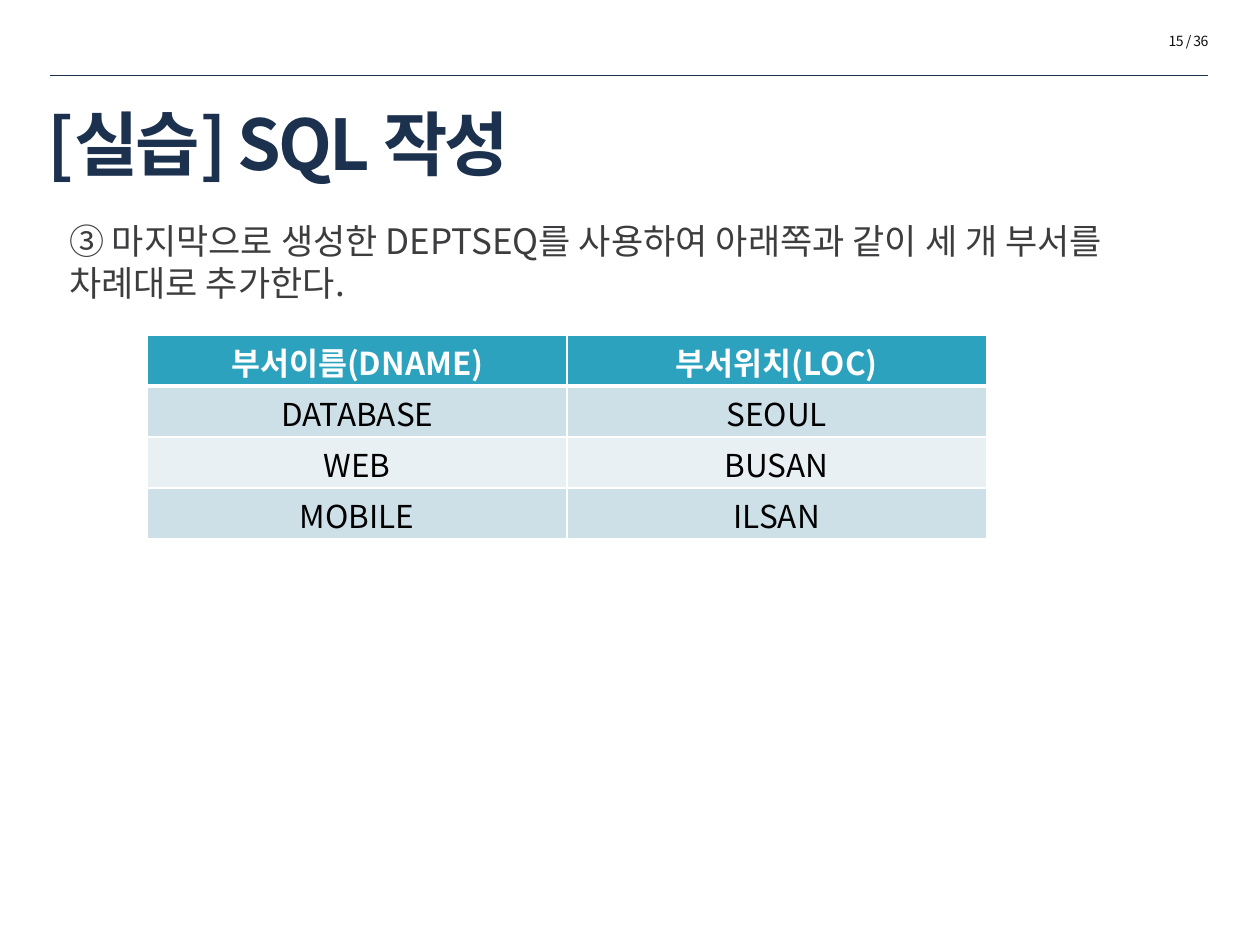
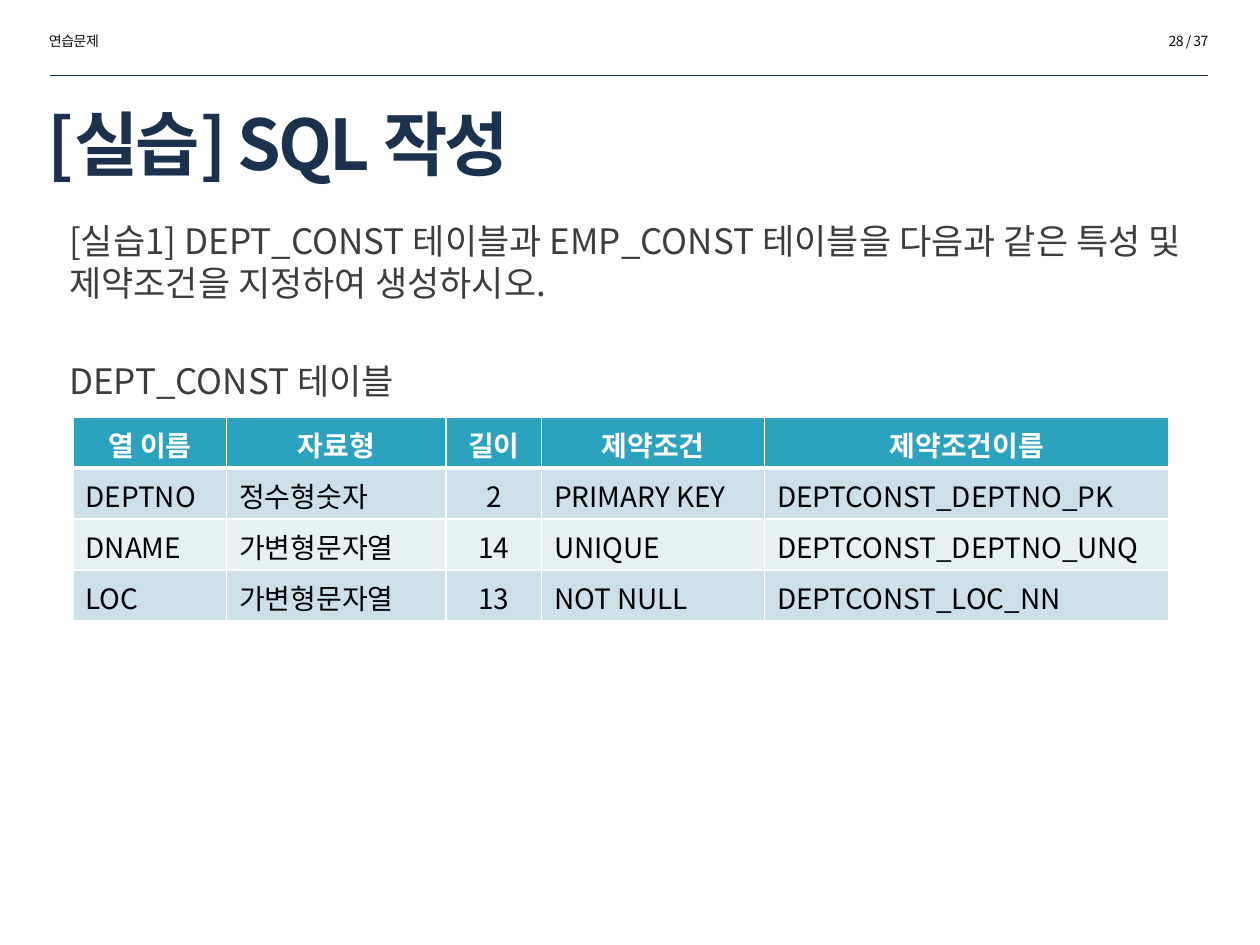
import pptx
import pptx.util
import pptx.dml.color
import pptx.enum.shapes
import pptx.enum.text
import pptx.oxml.ns
import lxml.etree

Inches = pptx.util.Inches
Pt = pptx.util.Pt
RGBColor = pptx.dml.color.RGBColor
ALIGN = pptx.enum.text.PP_ALIGN
MIDDLE = pptx.enum.text.MSO_ANCHOR.MIDDLE
qn = pptx.oxml.ns.qn

# Shared look
FONT = "Noto Sans CJK KR"
NAVY = RGBColor(0x1C, 0x31, 0x4E)
INK = RGBColor(0x0D, 0x0D, 0x0D)
GRAY = RGBColor(0x3D, 0x3C, 0x3E)
BLACK = RGBColor(0, 0, 0)
WHITE = RGBColor(0xFF, 0xFF, 0xFF)
TEAL = RGBColor(0x2D, 0xA2, 0xBF)
BANDS = [RGBColor(0xE8, 0xF0, 0xF4), RGBColor(0xCD, 0xE0, 0xE8)]
LEADING = 1.2
ROW_HEIGHT = 1.62 / 4


def style(par, size, color, bold=False, align=ALIGN.LEFT, track=0):
    """Format one paragraph, for Latin and Korean letters alike."""
    par.alignment = align
    par.line_spacing = Pt(size * LEADING)
    font = par.font
    font.size, font.bold, font.name = Pt(size), bold, FONT
    font.color.rgb = color
    props = par._p.get_or_add_pPr().find(qn("a:defRPr"))
    lxml.etree.SubElement(props, qn("a:ea")).set("typeface", FONT)
    if track:
        props.set("spc", str(round(track * 100)))


def place(shape, left, top, width, height):
    shape.left, shape.top = Inches(left), Inches(top)
    shape.width, shape.height = Inches(width), Inches(height)


def add_text(slide, box, lines, size, color, gap=0, **look):
    frame = slide.shapes.add_textbox(*map(Inches, box)).text_frame
    frame.word_wrap = True
    for i, line in enumerate(lines):
        par = frame.paragraphs[0] if i == 0 else frame.add_paragraph()
        par.text = line
        style(par, size, color, **look)
        if i:
            par.space_before = Pt(gap)


def add_label(slide, left, text, align):
    add_text(slide, (left, 0.21, 1.73, 0.24), [text], 8, INK,
             align=align, track=-0.3)


def add_body(slide, height, lines):
    add_text(slide, (0.45, 1.69, 9.26, height), lines, 20, GRAY, gap=32)


def add_rule(slide):
    rule = slide.shapes.add_connector(
        pptx.enum.shapes.MSO_CONNECTOR.STRAIGHT,
        Inches(0.4), Inches(0.6), Inches(9.59), Inches(0.6))
    rule.line.color.rgb = NAVY
    rule.line.width = Pt(0.25)
    lxml.etree.SubElement(rule._element.spPr, qn("a:effectLst"))


def add_title(slide, text):
    title = slide.shapes.title
    place(title, 0.28, 0.77, 7.65, 0.64)
    frame = title.text_frame
    frame.text = text
    frame.vertical_anchor = MIDDLE
    frame.margin_top, frame.margin_bottom = Inches(0.08), 0
    style(frame.paragraphs[0], 40, NAVY, bold=True, track=-1.5)


def add_page(deck, title, number):
    """Start a slide with the header that all slides share."""
    slide = deck.slides.add_slide(deck.slide_layouts[5])
    add_rule(slide)
    add_title(slide, title)
    add_label(slide, 7.96, number, ALIGN.RIGHT)
    return slide


def set_edges(cell, row):
    """White cell borders, thicker under the header row."""
    props = cell._tc.get_or_add_tcPr()
    widths = {"L": 1, "R": 1, "T": 3 if row == 1 else 1,
              "B": 3 if row == 0 else 1}
    for side, width in widths.items():
        edge = lxml.etree.SubElement(props, qn("a:ln" + side))
        edge.set("w", str(Pt(width)))
        fill = lxml.etree.SubElement(edge, qn("a:solidFill"))
        lxml.etree.SubElement(fill, qn("a:srgbClr")).set("val", str(WHITE))


def add_grid(slide, left, top, widths, rows, size, mid):
    """Banded table; columns listed in mid have centred values."""
    grid = slide.shapes.add_table(
        len(rows), len(widths), Inches(left), Inches(top),
        Inches(sum(widths)), Inches(ROW_HEIGHT * len(rows))).table
    for col, width in zip(grid.columns, widths):
        col.width = Inches(width)
    for r, row in enumerate(rows):
        grid.rows[r].height = Inches(ROW_HEIGHT)
        head = r == 0
        for c, text in enumerate(row):
            cell = grid.cell(r, c)
            cell.text = text
            cell.vertical_anchor = MIDDLE
            cell.margin_top, cell.margin_bottom = Inches(0.08), 0
            set_edges(cell, r)
            cell.fill.solid()
            cell.fill.fore_color.rgb = TEAL if head else BANDS[r % 2]
            style(cell.text_frame.paragraphs[0], size,
                  WHITE if head else BLACK, bold=head,
                  align=ALIGN.CENTER if head or c in mid else ALIGN.LEFT)


def main():
    deck = pptx.Presentation()
    deck.slide_width, deck.slide_height = Inches(10), Inches(7.5)
    title = "[실습] SQL 작성"

    # Departments to add
    slide = add_page(deck, title, "15 / 36")
    add_body(slide, 0.72, [
        "③ 마지막으로 생성한 DEPTSEQ를 사용하여 아래쪽과 같이 "
        "세 개 부서를 차례대로 추가한다."])
    add_grid(slide, 1.17, 2.66, [3.33, 3.33], [
        ["부서이름(DNAME)", "부서위치(LOC)"],
        ["DATABASE", "SEOUL"],
        ["WEB", "BUSAN"],
        ["MOBILE", "ILSAN"],
    ], 18, mid=(0, 1))

    # Table constraints
    slide = add_page(deck, title, "28 / 37")
    add_label(slide, 0.29, "연습문제", ALIGN.LEFT)
    add_body(slide, 3.92, [
        "[실습1] DEPT_CONST 테이블과 EMP_CONST 테이블을 다음과 같은 "
        "특성 및 제약조건을 지정하여 생성하시오.",
        "DEPT_CONST 테이블"])
    add_grid(slide, 0.58, 3.31, [1.22, 1.74, 0.76, 1.77, 3.21], [
        ["열 이름", "자료형", "길이", "제약조건", "제약조건이름"],
        ["DEPTNO", "정수형숫자", "2", "PRIMARY KEY", "DEPTCONST_DEPTNO_PK"],
        ["DNAME", "가변형문자열", "14", "UNIQUE", "DEPTCONST_DEPTNO_UNQ"],
        ["LOC", "가변형문자열", "13", "NOT NULL", "DEPTCONST_LOC_NN"],
    ], 16, mid=(2,))

    deck.save("out.pptx")


if __name__ == "__main__":
    main()
